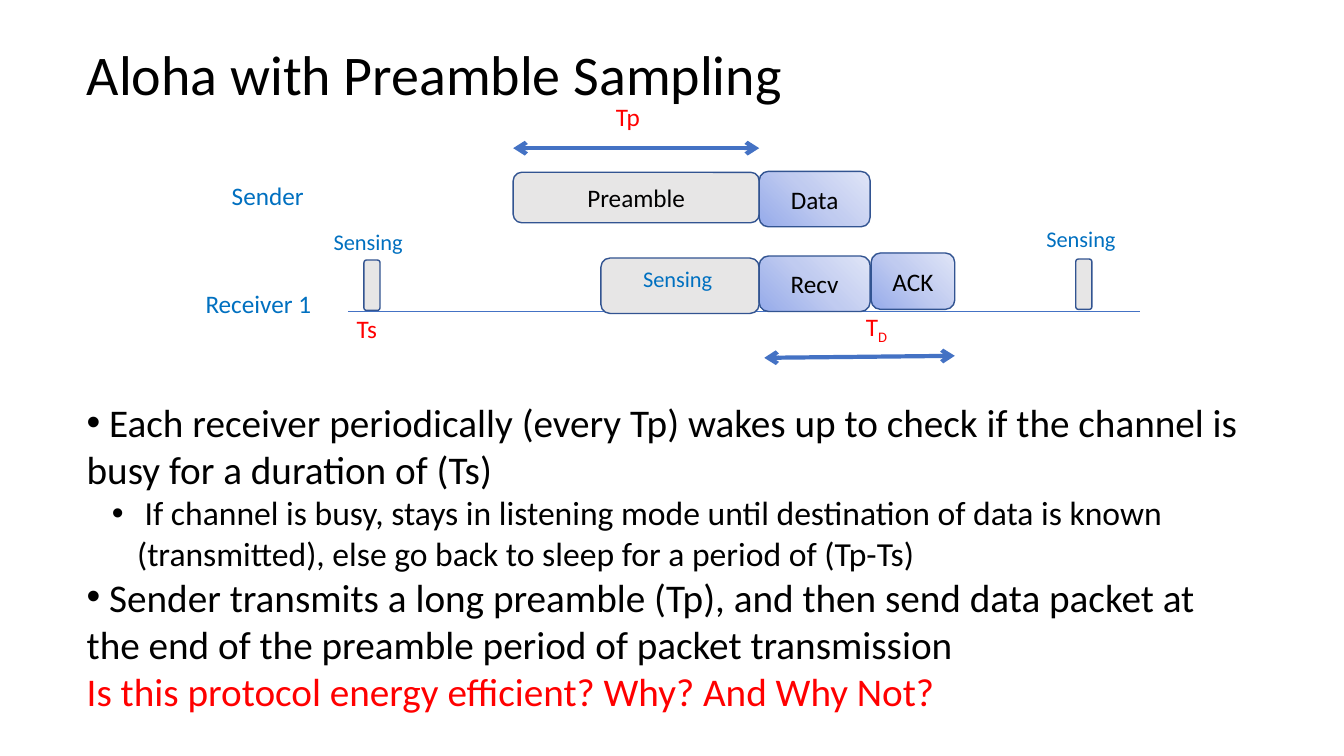
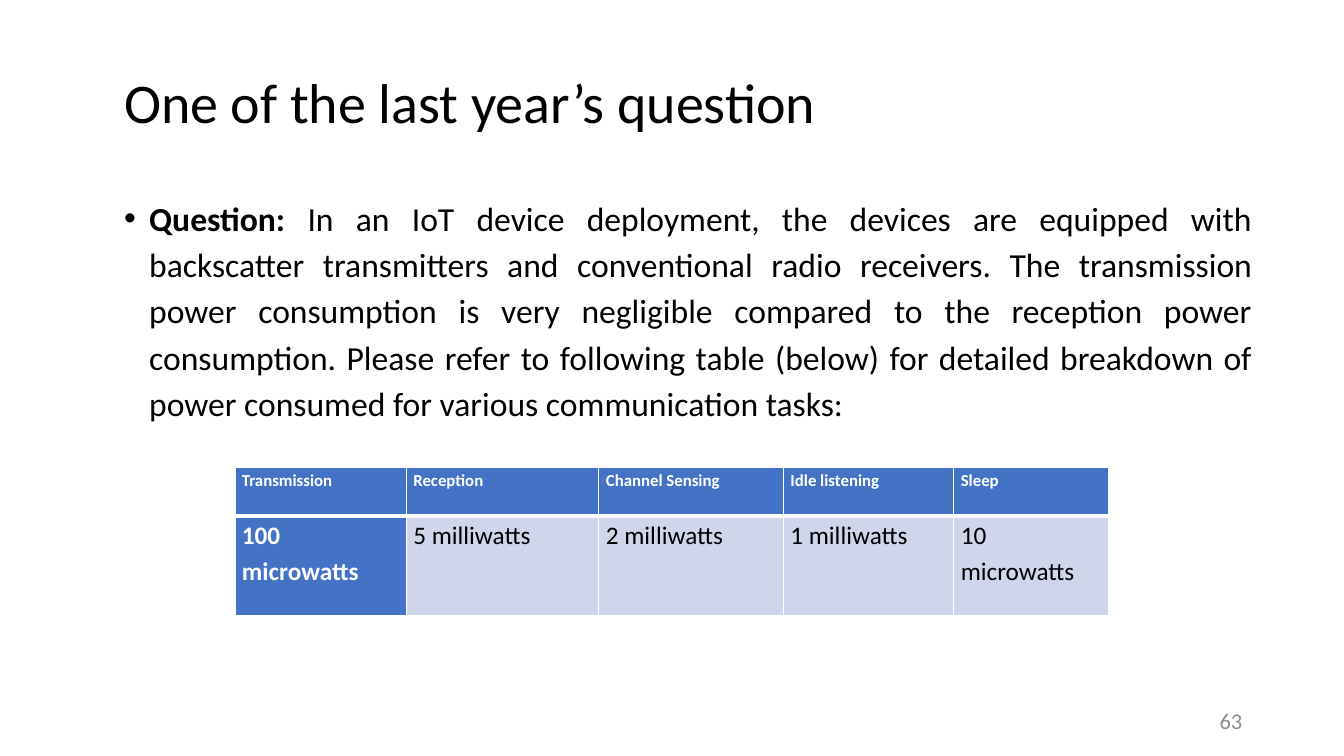
import pptx
import pptx.util
import pptx.dml.color
import pptx.enum.shapes
import pptx.enum.text
import pptx.oxml
import pptx.oxml.ns
import lxml.etree

Inches = pptx.util.Inches
Pt = pptx.util.Pt
ALIGN = pptx.enum.text.PP_ALIGN
MIDDLE = pptx.enum.text.MSO_ANCHOR.MIDDLE
ROUNDED = pptx.enum.shapes.MSO_SHAPE.ROUNDED_RECTANGLE
STRAIGHT = pptx.enum.shapes.MSO_CONNECTOR.STRAIGHT
qn = pptx.oxml.ns.qn

FONT = "Calibri"
COLORS = {
    "text": "000000", "accent": "4472C4", "outline": "325491",
    "idle": "E7E6E6", "label": "0070C0", "alert": "FF0000",
    "number": "8C8C8C", "white": "FFFFFF", "band": "CFD5EA",
}
PACKET_GRADIENT = [(0, "96ABEA"), (50000, "C0CBF0"), (100000, "E0E5F7")]


def style(font, size, color="text", bold=False):
    font.name = FONT
    font.size = Pt(size)
    font.bold = bold
    font.color.rgb = pptx.dml.color.RGBColor.from_string(COLORS[color])


def set_bullet(paragraph, left, indent, bullet="•"):
    """Set margin and hanging indent in inches; bullet=None turns the bullet off."""
    props = paragraph._p.get_or_add_pPr()
    props.set("marL", str(Inches(left)))
    props.set("indent", str(Inches(indent)))
    if bullet:
        lxml.etree.SubElement(props, qn("a:buFont"), typeface="Arial")
        lxml.etree.SubElement(props, qn("a:buChar"), char=bullet)
    else:
        lxml.etree.SubElement(props, qn("a:buNone"))


prs = pptx.Presentation()
prs.slide_width = Inches(13.33)
prs.slide_height = Inches(7.5)

# Both slides: title and body placeholders in place
pages = [
    ("Aloha with Preamble Sampling", (0.76, 0.3, 7.88, 0.93), (0.76, 3.9, 11.72, 3.26)),
    ("One of the last year’s question", (1.13, 0.24, 11.29, 1.62), (1.13, 1.85, 11.39, 4.6)),
]
slides = []
bodies = []
for heading, title_box, body_box in pages:
    slide = prs.slides.add_slide(prs.slide_layouts[1])
    title, body = slide.placeholders
    for holder, box in ((title, title_box), (body, body_box)):
        holder.left, holder.top, holder.width, holder.height = map(Inches, box)
        holder.text_frame.auto_size = pptx.enum.text.MSO_AUTO_SIZE.NONE
    title.text_frame.text = heading
    title.text_frame.vertical_anchor = MIDDLE
    title_line = title.text_frame.paragraphs[0]
    title_line.alignment = ALIGN.LEFT
    title_line.line_spacing = 0.9
    style(title_line.font, 40)
    slides.append(slide)
    bodies.append(body.text_frame)
protocol, question = slides
protocol_text, question_text = bodies

# Slide 1: protocol description
points = [
    (" Each receiver periodically (every Tp) wakes up to check if the channel is "
     "busy for a duration of (Ts)", 0, "•", "text"),
    (" If channel is busy, stays in listening mode until destination of data is known "
     "(transmitted), else go back to sleep for a period of (Tp-Ts)", 1, "•", "text"),
    (" Sender transmits a long preamble (Tp), and then send data packet at the end of "
     "the preamble period of packet transmission", 0, "•", "text"),
    ("Is this protocol energy efficient? Why? And Why Not?", 0, None, "alert"),
]
protocol_text.text = "\n".join(point[0] for point in points)
for paragraph, (_, level, bullet, color) in zip(protocol_text.paragraphs, points):
    paragraph.level = level
    paragraph.space_before = Pt(0)
    set_bullet(paragraph, 0.5 * level, -0.25 * level, bullet)
    style(paragraph.font, 28 - 4 * level, color)

# Slide 1: timeline lines, with arrows for durations
for x1, y1, x2, y2, weight, arrows in [
    (3.45, 3.09, 11.31, 3.09, 0.5, False),
    (5.09, 1.47, 7.53, 1.47, 3, True),
    (7.58, 3.55, 9.47, 3.53, 3, True),
]:
    span = protocol.shapes.add_connector(STRAIGHT, *map(Inches, (x1, y1, x2, y2)))
    span.line.width = Pt(weight)
    span.line.color.rgb = pptx.dml.color.RGBColor.from_string(COLORS["accent"])
    if arrows:
        for end in ("a:headEnd", "a:tailEnd"):
            lxml.etree.SubElement(span.line._get_or_add_ln(), qn(end), type="arrow")
    lxml.etree.SubElement(span._element.spPr, qn("a:effectLst"))

# Slide 1: radio activity blocks
stops = "".join(f'<a:gs pos="{pos}"><a:srgbClr val="{color}"/></a:gs>'
                for pos, color in PACKET_GRADIENT)
gradient = (f'<a:gradFill {pptx.oxml.ns.nsdecls("a")}><a:gsLst>{stops}</a:gsLst>'
            '<a:path path="circle"><a:fillToRect t="100000" r="100000"/></a:path></a:gradFill>')
for caption, is_packet, *box in [
    ("Preamble", False, 5.09, 1.71, 2.44, 0.5),
    ("Data", True, 7.53, 1.7, 1.1, 0.55),
    ("", False, 3.61, 2.58, 0.16, 0.5),
    ("", False, 5.96, 2.56, 1.57, 0.55),
    ("ACK", True, 8.64, 2.51, 0.83, 0.56),
    ("Recv", True, 7.53, 2.54, 1.1, 0.55),
    ("", False, 10.67, 2.57, 0.16, 0.5),
]:
    block = protocol.shapes.add_shape(ROUNDED, *map(Inches, box))
    block.shadow.inherit = False
    if is_packet:
        block._element.spPr.find(qn("a:prstGeom")).addnext(pptx.oxml.parse_xml(gradient))
    else:
        block.fill.solid()
        block.fill.fore_color.rgb = pptx.dml.color.RGBColor.from_string(COLORS["idle"])
    block.line.width = Pt(1)
    block.line.color.rgb = pptx.dml.color.RGBColor.from_string(COLORS["outline"])
    if caption:
        block.text_frame.text = caption
        block.text_frame.vertical_anchor = MIDDLE
        block.text_frame.paragraphs[0].alignment = ALIGN.CENTER
        style(block.text_frame.paragraphs[0].font, 18)

# Slide 1: labels
for caption, size, color, *box in [
    ("Sender", 18, "label", 2.2, 1.74, 0.92, 0.4),
    ("Receiver 1", 18, "label", 1.94, 2.81, 1.26, 0.4),
    ("Sensing", 16, "label", 3.21, 2.21, 0.9, 0.37),
    ("Sensing", 16, "label", 6.28, 2.58, 0.9, 0.37),
    ("Sensing", 16, "label", 10.28, 2.18, 0.9, 0.37),
    ("Tp", 18, "alert", 6.01, 0.96, 0.44, 0.4),
    ("Ts", 18, "alert", 3.44, 3.06, 0.4, 0.4),
    ("T", 18, "alert", 8.49, 3.04, 0.69, 0.4),
]:
    label = protocol.shapes.add_textbox(*map(Inches, box)).text_frame
    label.word_wrap = caption == "T"
    label.text = caption
    style(label.paragraphs[0].font, size, color)
    if caption == "T":
        subscript = label.paragraphs[0].add_run()
        subscript.text = "D"
        subscript.font._element.set("baseline", "-25000")

# Slide 2: question
statement = question_text.paragraphs[0]
statement.alignment = ALIGN.JUSTIFY
statement.line_spacing = 1.15
statement.space_before = Pt(0)
statement.space_after = Pt(10)
set_bullet(statement, 0.25, -0.25)
for wording, bold in [
    ("Question: ", True),
    ("In an IoT device deployment, the devices are equipped with backscatter transmitters "
     "and conventional radio receivers. The transmission power consumption is very negligible "
     "compared to the reception power consumption. Please refer to following table (below) for "
     "detailed breakdown of power consumed for various communication tasks:", False),
]:
    run = statement.add_run()
    run.text = wording
    style(run.font, 24, bold=bold)

# Slide 2: power table
power_rows = [
    ("Transmission", "Reception", "Channel Sensing", "Idle listening", "Sleep"),
    ("100 microwatts", "5 milliwatts", "2 milliwatts", "1 milliwatts", "10 microwatts"),
]
power = question.shapes.add_table(
    2, 5, Inches(2.33), Inches(4.64), Inches(8.67), Inches(1.47)).table
for column, width in zip(power.columns, (1.7, 1.91, 1.83, 1.69, 1.54)):
    column.width = Inches(width)
for row, height in zip(power.rows, (0.48, 0.99)):
    row.height = Inches(height)
for r, values in enumerate(power_rows):
    for c, value in enumerate(values):
        cell = power.cell(r, c)
        is_header = r == 0 or c == 0
        cell.margin_left = cell.margin_right = Inches(0.07)
        cell.margin_top = cell.margin_bottom = 0
        header_rule = "a:lnB" if r == 0 else "a:lnT"
        for side in ("a:lnL", "a:lnR", "a:lnT", "a:lnB"):
            weight = Pt(3 if side == header_rule else 1)
            border = lxml.etree.SubElement(
                cell._tc.get_or_add_tcPr(), qn(side), w=str(weight))
            paint = lxml.etree.SubElement(border, qn("a:solidFill"))
            lxml.etree.SubElement(paint, qn("a:srgbClr"), val=COLORS["white"])
        cell.fill.solid()
        cell.fill.fore_color.rgb = pptx.dml.color.RGBColor.from_string(
            COLORS["accent" if is_header else "band"])
        cell.text_frame.text = value
        entry = cell.text_frame.paragraphs[0]
        entry.alignment = ALIGN.JUSTIFY
        entry.line_spacing = 1.15
        entry.space_after = Pt(10)
        style(entry.runs[0].font, 12 if r == 0 else 18,
              "white" if is_header else "text", is_header)

# Slide 2: page number
page_number = question.shapes.add_textbox(
    Inches(9.42), Inches(6.95), Inches(3), Inches(0.4)).text_frame
page_number.word_wrap = True
page_number.vertical_anchor = MIDDLE
page_number.text = "63"
page_number.paragraphs[0].alignment = ALIGN.RIGHT
style(page_number.paragraphs[0].font, 16, "number")

prs.save("out.pptx")
